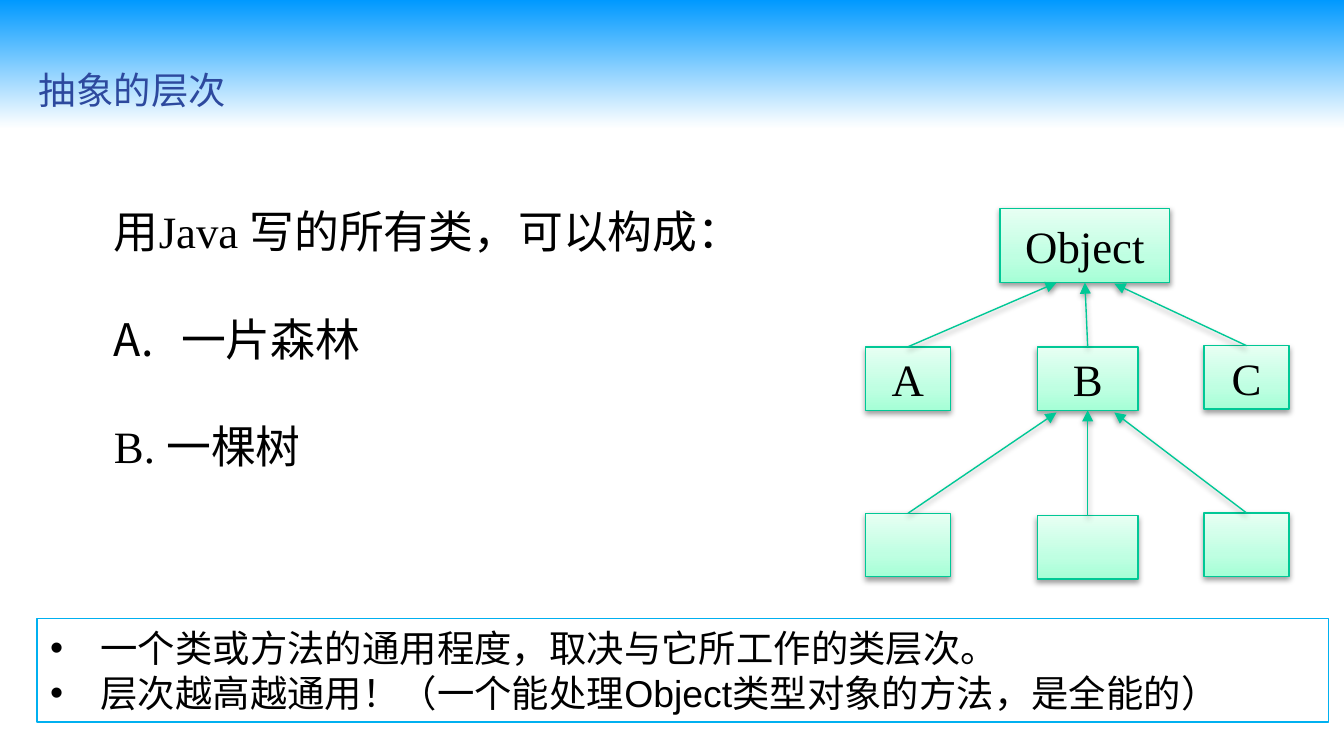
import pptx
import pptx.dml.color
import pptx.enum.shapes
import pptx.enum.text
import pptx.oxml
import pptx.oxml.ns
import pptx.util
from dataclasses import dataclass

Pt = pptx.util.Pt
RGB = pptx.dml.color.RGBColor.from_string
qn = pptx.oxml.ns.qn
MSO_SHAPE = pptx.enum.shapes.MSO_SHAPE
ANCHOR = pptx.enum.text.MSO_ANCHOR
ALIGN = pptx.enum.text.PP_ALIGN
NS = pptx.oxml.ns.nsdecls("a")


@dataclass
class Theme:
    sky: tuple = ((0, "0099FF"), (17, "FFFFFF"))
    mint: tuple = ((0, "A5FFD6"), (35, "BFFFE2"), (100, "E7FFF3"))
    title: str = "2D499E"
    text: str = "000000"
    tree: str = "00C896"
    frame: str = "00B0F0"
    sans: str = "Arial"
    serif: str = "Times New Roman"
    large: int = 24
    small: int = 20
    stroke: float = 0.75


theme = Theme()


def paint_gradient(fill, element, stops, angle):
    """Fill with any number of (percent, colour) stops; element holds the fill."""
    fill.gradient()
    fill.gradient_angle = angle
    stop_list = next(element.iter(qn("a:gsLst")))
    for stop in list(stop_list):
        stop_list.remove(stop)
    for percent, colour in stops:
        stop_list.append(pptx.oxml.parse_xml(
            f'<a:gs {NS} pos="{percent * 1000}"><a:srgbClr val="{colour}"/></a:gs>'))


def outline_with_shadow(shape):
    shape.line.color.rgb = RGB(theme.tree)
    shape.line.width = Pt(theme.stroke)
    shape.element.spPr.append(pptx.oxml.parse_xml(
        f'<a:effectLst {NS}><a:outerShdw blurRad="{Pt(3.1)}" dist="{Pt(1.6)}" '
        'dir="5400000" rotWithShape="0"><a:srgbClr val="000000">'
        '<a:alpha val="38000"/></a:srgbClr></a:outerShdw></a:effectLst>'))


deck = pptx.Presentation()
deck.slide_width, deck.slide_height = Pt(720), Pt(405)
page = deck.slides.add_slide(deck.slide_layouts[5])
paint_gradient(page.background.fill, page.element, theme.sky, 270)

# Title
title = page.shapes.title
title.left, title.top, title.width, title.height = Pt(0), Pt(32.4), Pt(142), Pt(57)
title.text_frame.word_wrap = True
title.text_frame.auto_size = pptx.enum.text.MSO_AUTO_SIZE.NONE
title.text_frame.vertical_anchor = ANCHOR.TOP
para = title.text_frame.paragraphs[0]
para.alignment = ALIGN.CENTER
span = para.add_run()
span.text = "抽象的层次"
span.font.size = Pt(theme.small)
span.font.name = theme.sans
span.font.color.rgb = RGB(theme.title)

# Question and answers
question = page.shapes.add_textbox(Pt(54), Pt(105.8), Pt(354), Pt(152.6)).text_frame
question.word_wrap = True
for index, (text, numbered) in enumerate([
        ("用Java 写的所有类，可以构成：", False),
        ("一片森林", True),
        ("B. 一棵树", False)]):
    para = question.paragraphs[0] if index == 0 else question.add_paragraph()
    if index:
        para.space_before = Pt(28.8)
    if numbered:
        properties = para._p.get_or_add_pPr()
        properties.set("marL", str(Pt(36)))
        properties.set("indent", str(-Pt(36)))
        properties.append(pptx.oxml.parse_xml(f'<a:buFont {NS} typeface="+mj-ea"/>'))
        properties.append(pptx.oxml.parse_xml(f'<a:buAutoNum {NS} type="alphaUcPeriod"/>'))
    span = para.add_run()
    span.text = text
    span.font.size = Pt(theme.large)
    span.font.name = theme.serif
    span.font.color.rgb = RGB(theme.text)

# Class tree: each row holds its nodes (label, left, top, width, height)
# and the points on the parent that its arrows reach
columns = [(463.7, 45.4), (555.7, 54), (645.1, 45.4)]
child_height = 34
rows = [
    ([("Object", 535.7, 111.6, 91, 39.8)], []),
    ([(label, left, top, width, child_height)
      for label, top, (left, width) in zip("ABC", (185.8, 185.8, 185.2), columns)],
     [(566, 151.4), (581.2, 151.4), (597, 152)]),
    ([("", left, top, width, child_height)
      for top, (left, width) in zip((275, 276.3, 274.8), columns)],
     [(566, 221), (582.7, 219.8), (597, 221)]),
]
tree = page.shapes.add_group_shape()
for nodes, tips in rows:
    for label, left, top, width, height in nodes:
        node = tree.shapes.add_shape(
            MSO_SHAPE.RECTANGLE, Pt(left), Pt(top), Pt(width), Pt(height))
        paint_gradient(node.fill, node.element, theme.mint, 90)
        outline_with_shadow(node)
        if label:
            node.text_frame.word_wrap = False
            node.text_frame.vertical_anchor = ANCHOR.MIDDLE
            para = node.text_frame.paragraphs[0]
            para.alignment = ALIGN.CENTER
            span = para.add_run()
            span.text = label
            span.font.size = Pt(theme.large)
            span.font.name = theme.serif
            span.font.color.rgb = RGB(theme.text)
    for (label, left, top, width, height), (tip_x, tip_y) in zip(nodes, tips):
        arrow = tree.shapes.add_connector(
            pptx.enum.shapes.MSO_CONNECTOR.STRAIGHT,
            Pt(left + width / 2), Pt(top), Pt(tip_x), Pt(tip_y))
        outline_with_shadow(arrow)
        arrow.line._get_or_add_ln().append(
            pptx.oxml.parse_xml(f'<a:tailEnd {NS} type="triangle"/>'))

# Conclusion
conclusion = page.shapes.add_shape(
    MSO_SHAPE.RECTANGLE, Pt(19.8), Pt(331.2), Pt(692), Pt(55.7))
conclusion.shadow.inherit = False
conclusion.fill.background()
conclusion.line.color.rgb = RGB(theme.frame)
conclusion.line.width = Pt(theme.stroke)
conclusion.text_frame.word_wrap = True
conclusion.text_frame.vertical_anchor = ANCHOR.MIDDLE
for index, text in enumerate([
        "一个类或方法的通用程度，取决与它所工作的类层次。",
        "层次越高越通用！（一个能处理Object类型对象的方法，是全能的）"]):
    frame = conclusion.text_frame
    para = frame.paragraphs[0] if index == 0 else frame.add_paragraph()
    para.alignment = ALIGN.LEFT
    properties = para._p.get_or_add_pPr()
    properties.set("marL", str(Pt(27)))
    properties.set("indent", str(-Pt(27)))
    properties.append(pptx.oxml.parse_xml(f'<a:buFont {NS} typeface="{theme.sans}"/>'))
    properties.append(pptx.oxml.parse_xml(f'<a:buChar {NS} char="•"/>'))
    span = para.add_run()
    span.text = text
    span.font.size = Pt(theme.small)
    span.font.name = theme.sans
    span.font.color.rgb = RGB(theme.text)

deck.save("out.pptx")
